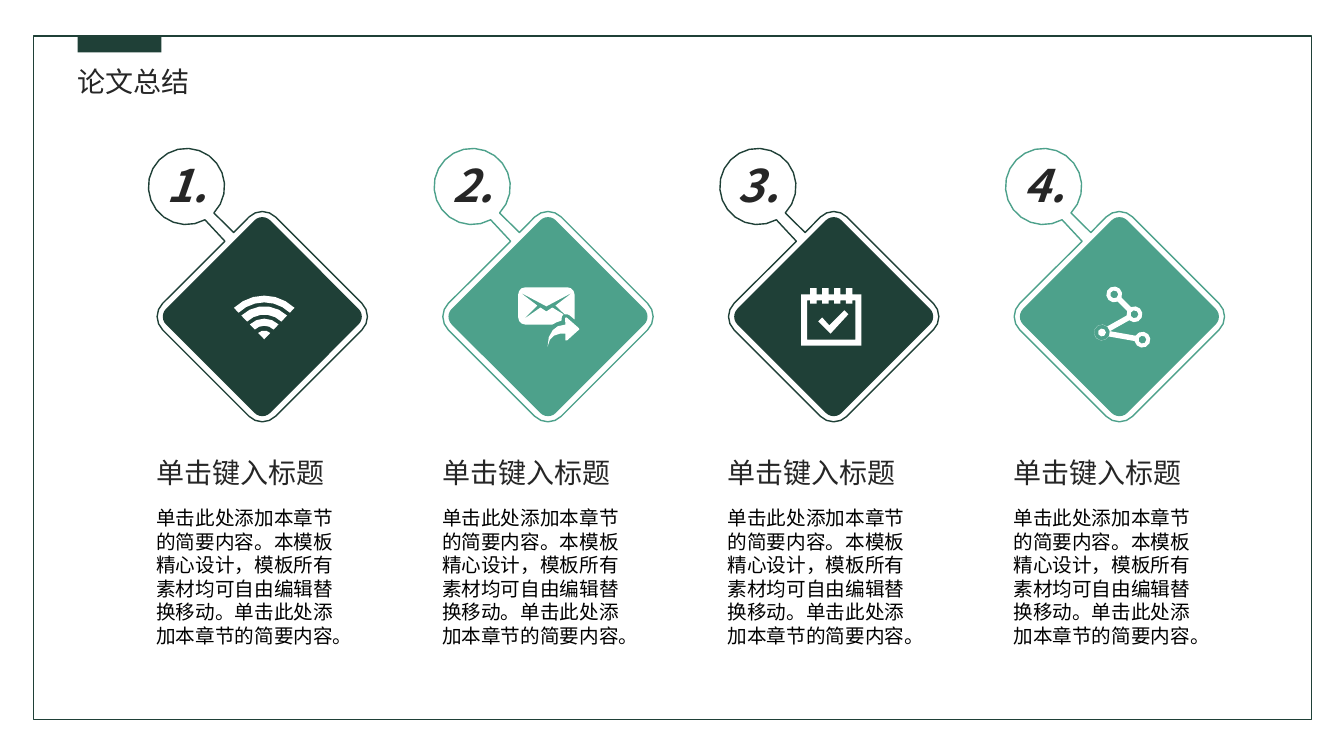
from dataclasses import dataclass
from math import acos, atan2, ceil, cos, degrees, radians, sin

from lxml.etree import SubElement
from pptx import Presentation
from pptx.dml.color import RGBColor as Rgb
from pptx.enum.shapes import MSO_SHAPE as Kind
from pptx.enum.text import MSO_AUTO_SIZE as Fit, PP_ALIGN as Align
from pptx.oxml.ns import qn
from pptx.util import Cm, Pt

Point = tuple[float, float]
Ring = list[Point]

HUES = {"dark": "1F4037", "mint": "4DA18B", "white": "FFFFFF", "ink": "262626", "black": "000000"}
FACE = "Noto Sans CJK SC"
FORMS = {
    "head": {"size": Pt(20), "name": FACE},
    "body": {"size": Pt(14), "name": FACE},
    "count": {"size": Pt(32), "name": FACE, "bold": True, "italic": True},
}
TITLE = "单击键入标题"
BODY = "单击此处添加本章节的简要内容。本模板精心设计，模板所有素材均可自由编辑替换移动。单击此处添加本章节的简要内容。"
LEFT, MID, PITCH = 6.61, 7.98, 7.2


@dataclass
class Card:
    count: str
    hue: str
    icon: list[Ring]


@dataclass
class Label:
    text: str
    box: tuple[float, float, float, float]
    form: str
    hue: str = "ink"
    align: Align = Align.JUSTIFY
    inset: tuple[float, float] = (0, 0.25)


def arc(mid: Point, size: float, start: float, end: float) -> Ring:
    pace = 2 * degrees(acos(1 - 0.01 / size))
    steps = ceil(abs(end - start) / pace)
    turns = [radians(start + (end - start) * k / steps) for k in range(steps + 1)]
    return [(mid[0] + size * cos(t), mid[1] + size * sin(t)) for t in turns]


def callout() -> Ring:
    ring = arc((-1.91, -3.28), 0.96, 61, 404) + [(-0.72, -2.12)]
    for k, mid in enumerate([(0, -2.18), (2.18, 0), (0, 2.18), (-2.18, 0)]):
        ring += arc(mid, 0.47, 90 * k - 135, 90 * k - 45)
    return ring + [(-0.94, -1.9)]


def signal() -> list[Ring]:
    hub = (0.05, 0.57)
    bands = [(1.1, 0.93), (0.83, 0.62), (0.52, 0.34)]
    rings = [arc(hub, far, -134, -46) + arc(hub, near, -46, -134) for far, near in bands]
    return rings + [[hub] + arc(hub, 0.22, -134, -46)]


def mail() -> list[Ring]:
    cover = [
        (0.67, 0.07), (0.55, -0.03), (0.49, -0.06), (0.42, -0.06), (0.19, -0.28),
        (0.62, -0.61), (-0.04, -0.26), (-0.7, -0.61), (-0.27, -0.28), (-0.62, 0.07),
        (-0.19, -0.23), (-0.04, -0.13), (0.11, -0.23), (0.39, -0.06), (0.35, 0),
        (0.34, 0.1), (0.22, 0.14), (0.11, 0.2),
    ]
    for k, mid in enumerate([(-0.57, 0.02), (-0.57, -0.56), (0.49, -0.56)]):
        cover += arc(mid, 0.18, 90 * k + 90, 90 * k + 180)
    arrow = [
        (0.43, 0.03), (0.47, 0.02), (0.78, 0.29), (0.79, 0.32), (0.48, 0.6),
        (0.44, 0.6), (0.44, 0.43), (0.3, 0.43), (0.15, 0.48), (0.05, 0.58),
        (-0.01, 0.76), (0.02, 0.52), (0.12, 0.34), (0.25, 0.24), (0.44, 0.2),
    ]
    return [cover, arrow]


def planner() -> list[Ring]:
    def sheet(half: float, top: float, tooth: float, base: float) -> Ring:
        ring = [(-half, top)]
        for x in (-0.45, -0.15, 0.15, 0.45):
            ring += [(x - 0.08, top), (x - 0.08, tooth), (x + 0.08, tooth), (x + 0.08, top)]
        ring += [(half, top), (half, base), (-half, base)]
        return [(x - 0.06, y) for x, y in ring]

    tick = [(0.27, -0.16), (0.37, -0.06), (-0.08, 0.43), (-0.39, 0.12), (-0.29, 0.02), (-0.11, 0.22)]
    return [sheet(0.76, -0.56, -0.72, 0.73), sheet(0.61, -0.41, -0.33, 0.58), tick]


def chain() -> list[Ring]:
    def angle(a: Point, b: Point) -> float:
        return degrees(atan2(b[1] - a[1], b[0] - a[0]))

    nodes = [(-0.13, -0.56), (0.38, -0.06), (-0.44, 0.4), (0.58, 0.58)]
    walk = nodes + nodes[2:0:-1]
    edge: Ring = []
    for k, node in enumerate(walk):
        start = angle(node, walk[k - 1]) + 20
        end = angle(node, walk[(k + 1) % len(walk)]) - 20
        edge += arc(node, 0.2, start, start + (end - start) % 360)
    return [edge] + [arc(node, 0.1, 360, 0) for node in nodes]


def paint(shape, fill: str | None, line: str | None) -> None:
    shape.shadow.inherit = False
    if fill:
        shape.fill.solid()
        shape.fill.fore_color.rgb = Rgb.from_string(HUES[fill])
    else:
        shape.fill.background()
    if line:
        shape.line.color.rgb = Rgb.from_string(HUES[line])
        shape.line.width = Pt(1)
    else:
        shape.line.fill.background()


def trace(slide, rings: list[Ring], x: float, y: float, fill: str, line: str | None = None) -> None:
    paths = [[(Cm(x + a), Cm(y + b)) for a, b in ring] for ring in rings]
    pen = slide.shapes.build_freeform(*paths[0][0])
    for k, points in enumerate(paths):
        if k:
            pen.move_to(*points[0])
        pen.add_line_segments(points[1:], close=True)
    paint(pen.convert_to_shape(), fill, line)


def block(slide, kind: Kind, box: tuple, fill: str | None, line: str | None = None):
    shape = slide.shapes.add_shape(kind, *map(Cm, box))
    paint(shape, fill, line)
    return shape


def write(slide, label: Label) -> None:
    frame = slide.shapes.add_textbox(*map(Cm, label.box)).text_frame
    side, end = map(Cm, label.inset)
    rim = Cm(0.13)
    setup = {
        "word_wrap": True, "auto_size": Fit.SHAPE_TO_FIT_TEXT, "margin_left": side,
        "margin_right": end, "margin_top": rim, "margin_bottom": rim,
    }
    for key, value in setup.items():
        setattr(frame, key, value)
    line = frame.paragraphs[0]
    line.alignment = label.align
    run = line.add_run()
    run.text = label.text
    for key, value in FORMS[label.form].items():
        setattr(run.font, key, value)
    run.font.color.rgb = Rgb.from_string(HUES[label.hue])
    SubElement(run._r.get_or_add_rPr(), qn("a:ea")).set("typeface", FACE)


def draw(slide, card: Card, x: float) -> None:
    trace(slide, [callout()], x, MID, "white", card.hue)
    side = 3.71
    tile = block(slide, Kind.ROUNDED_RECTANGLE, (x - side / 2, MID - side / 2, side, side), card.hue)
    tile.rotation = 45
    tile.adjustments[0] = 0.075
    trace(slide, card.icon, x, MID, "white")
    edge = x - 2.67
    labels = [
        Label(card.count, (x - 2.86, 3.84, 1.93, 1.63), "count", align=Align.CENTER, inset=(0.25, 0.25)),
        Label(TITLE, (edge, 11.35, 4.9, 1.12), "head"),
        Label(BODY, (edge, 12.62, 4.7, 4.54), "body", "black", Align.LEFT, (0, 0)),
    ]
    for label in labels:
        write(slide, label)


def main() -> None:
    deck = Presentation()
    deck.slide_width, deck.slide_height = Cm(33.87), Cm(19.05)
    slide = deck.slides.add_slide(deck.slide_layouts[6])
    block(slide, Kind.RECTANGLE, (0.84, 0.91, 32.21, 17.22), None, "dark")
    block(slide, Kind.RECTANGLE, (1.96, 0.91, 2.11, 0.41), "dark")
    write(slide, Label("论文总结", (1.96, 1.5, 4.24, 1.12), "head"))
    cards = [
        Card("1.", "dark", signal()),
        Card("2.", "mint", mail()),
        Card("3.", "dark", planner()),
        Card("4.", "mint", chain()),
    ]
    for k, card in enumerate(cards):
        draw(slide, card, LEFT + PITCH * k)
    deck.save("out.pptx")


if __name__ == "__main__":
    main()
